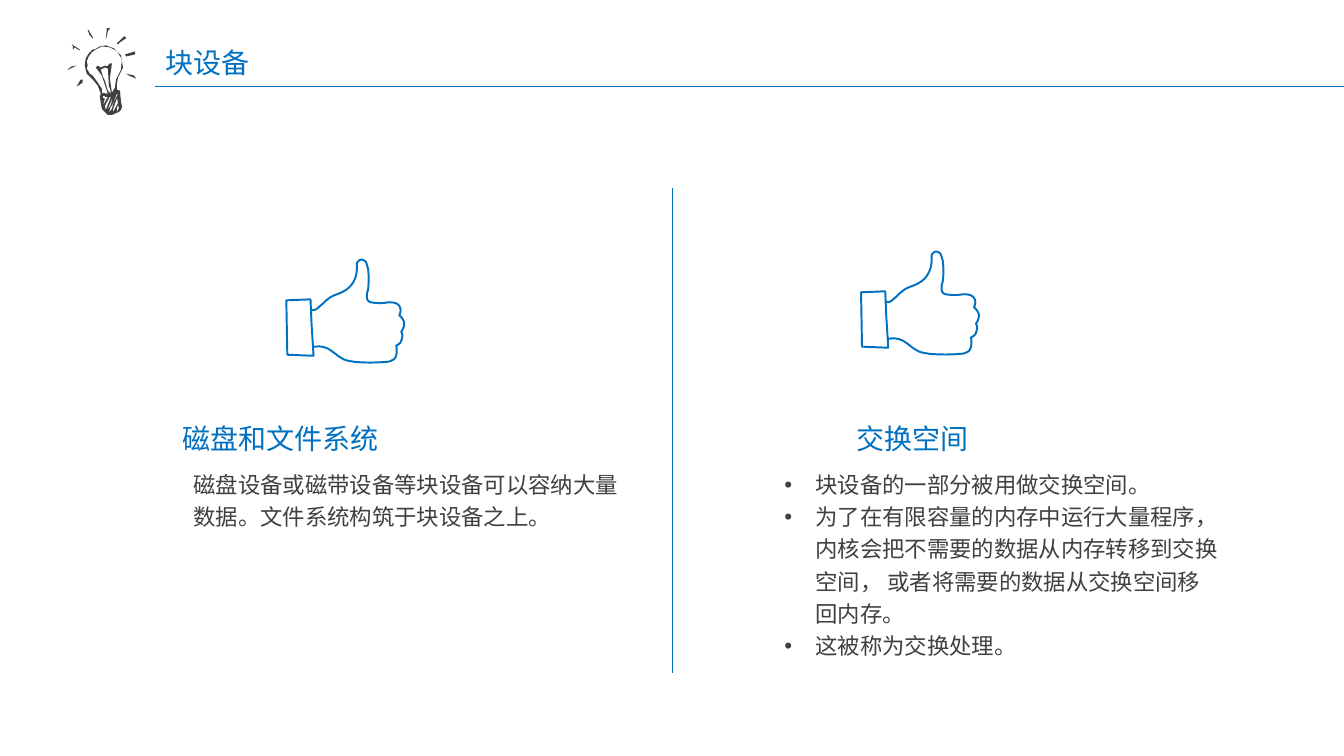
import dataclasses

import lxml.etree
import pptx
import pptx.dml.color
import pptx.enum.shapes
import pptx.enum.text
import pptx.oxml.ns
import pptx.util

Inches = pptx.util.Inches
Pt = pptx.util.Pt
qn = pptx.oxml.ns.qn


@dataclasses.dataclass(frozen=True)
class Theme:
    """Colours, type sizes and line widths of the slide."""
    font: str = "Noto Sans CJK SC"
    blue: pptx.dml.color.RGBColor = pptx.dml.color.RGBColor(0x00, 0x70, 0xC0)
    gray: pptx.dml.color.RGBColor = pptx.dml.color.RGBColor(0x40, 0x40, 0x40)
    heading_size: int = 20
    body_size: int = 16
    rule_width: float = 1
    hand_width: float = 1.38


THEME = Theme()
UNIT = Inches(0.01)

BULB_RAYS = (
    ((39, 0), (38, 11), (39, 8), (40, 3), (42, 0)),
    ((20, 2), (22, 7), (25, 10), (25, 9), (21, 2)),
    ((56, 8), (49, 15), (50, 16), (52, 14), (58, 10), (57, 8)),
    ((4, 16), (6, 19), (5, 19), (6, 21), (7, 19), (12, 22), (12, 21)),
    ((57, 26), (58, 28), (67, 26), (67, 23)),
    ((58, 45), (61, 47), (68, 50), (66, 47)),
    ((13, 51), (9, 58), (15, 54), (15, 51)),
    ((0, 41), (1, 41), (9, 37), (4, 38)),
)
BULB_BODY = (
    ((53, 27), (46, 20), (38, 17), (32, 18), (27, 21), (25, 21), (21, 25), (18, 30),
     (17, 37), (19, 45), (25, 51), (30, 57), (33, 65), (32, 68), (34, 80), (40, 86),
     (44, 86), (51, 83), (53, 81), (54, 78), (53, 73), (52, 62), (49, 61), (49, 55),
     (50, 49), (55, 39)),
    ((35, 77), (37, 70), (35, 69), (35, 67), (37, 67), (37, 68), (40, 68)),
    ((37, 77), (42, 68), (43, 68), (38, 81)),
    ((41, 58), (42, 59), (43, 65), (40, 62), (37, 52), (35, 48), (33, 41), (37, 39),
     (40, 40)),
    ((39, 82), (42, 75), (45, 68), (43, 76)),
    ((49, 83), (49, 79), (50, 76), (51, 79)),
    ((47, 80), (45, 83), (45, 81), (49, 69), (50, 74)),
    ((50, 66), (49, 67), (46, 73), (44, 80), (41, 84), (43, 77), (44, 77), (48, 67),
     (49, 65)),
    ((48, 51), (47, 59), (44, 64), (42, 50), (44, 35), (42, 35), (39, 38), (37, 37),
     (33, 39), (30, 37), (28, 39), (34, 47), (40, 65), (34, 64), (34, 60), (30, 54),
     (25, 47), (22, 45), (19, 40), (20, 37), (19, 33), (21, 28), (24, 24), (28, 21),
     (30, 20), (34, 18), (42, 19), (48, 22), (50, 24), (52, 28), (54, 30), (53, 41)),
)
HAND_START = (24, 50)
HAND_CURVES = (
    (27, 52, 30, 50, 33, 47), (36, 45, 38, 42, 41, 40), (45, 36, 52, 35, 57, 32),
    (65, 28, 70, 19, 70, 10), (70, 9, 70, 7, 70, 5), (70, 4, 71, 2, 73, 1),
    (75, 0, 77, 1, 79, 3), (80, 5, 80, 7, 81, 9), (82, 16, 82, 24, 81, 31),
    (80, 33, 80, 35, 80, 37), (80, 39, 80, 42, 84, 43), (90, 44, 96, 44, 101, 43),
    (104, 43, 106, 43, 109, 44), (111, 45, 113, 47, 113, 49),
    (114, 51, 113, 54, 112, 56), (114, 57, 116, 60, 117, 63),
    (117, 66, 116, 70, 114, 72), (116, 75, 115, 79, 114, 81),
    (114, 83, 111, 85, 109, 86), (110, 90, 110, 98, 106, 100),
    (104, 101, 102, 102, 100, 102), (89, 103, 78, 103, 67, 102),
    (63, 101, 59, 101, 56, 99), (50, 96, 45, 90, 39, 88), (33, 86, 32, 87, 27, 87),
)
CUFF = ((25, 64), (27, 96), (1, 95), (0, 41), (24, 40))


def flatten(start, curves, steps=8):
    """Return points along a chain of cubic curves."""
    points = [start]
    for x1, y1, x2, y2, x3, y3 in curves:
        x0, y0 = points[-1]
        for step in range(1, steps + 1):
            t = step / steps
            s = 1 - t
            weights = (s ** 3, 3 * s * s * t, 3 * s * t * t, t ** 3)
            points.append((sum(w * x for w, x in zip(weights, (x0, x1, x2, x3))),
                           sum(w * y for w, y in zip(weights, (y0, y1, y2, y3)))))
    return points


def add_outline(shapes, left, top, contours, fill=None, line=None, close=True):
    """Draw contours, given in hundredths of an inch, from a left top corner."""
    contours = [[(round(x * UNIT), round(y * UNIT)) for x, y in contour]
                for contour in contours]
    builder = shapes.build_freeform(*contours[0][0])
    for index, contour in enumerate(contours):
        if index:
            builder.move_to(*contour[0])
        builder.add_line_segments(contour[1:], close=close)
    shape = builder.convert_to_shape(Inches(left), Inches(top))
    shape.shadow.inherit = False
    if fill is None:
        shape.fill.background()
        shape.line.color.rgb = line
        shape.line.width = Pt(THEME.hand_width)
    else:
        shape.fill.solid()
        shape.fill.fore_color.rgb = fill
        shape.line.fill.background()


def add_bulb(slide, left, top):
    """Draw the light bulb and its rays."""
    shapes = slide.shapes.add_group_shape().shapes
    for contours in [(ray,) for ray in BULB_RAYS] + [BULB_BODY]:
        add_outline(shapes, left, top, contours, fill=THEME.gray)


def add_thumb(slide, left, top):
    """Draw the raised thumb and its cuff."""
    shapes = slide.shapes.add_group_shape().shapes
    hand = flatten(HAND_START, HAND_CURVES)
    add_outline(shapes, left, top, [hand], line=THEME.blue, close=False)
    add_outline(shapes, left, top, [CUFF], line=THEME.blue)


def add_rule(slide, x1, y1, x2, y2):
    """Draw a thin blue line."""
    rule = slide.shapes.add_connector(pptx.enum.shapes.MSO_CONNECTOR.STRAIGHT,
                                      Inches(x1), Inches(y1), Inches(x2), Inches(y2))
    rule.line.color.rgb = THEME.blue
    rule.line.width = Pt(THEME.rule_width)
    properties = rule.element.find(qn("p:spPr"))
    lxml.etree.SubElement(properties, qn("a:effectLst"))


def fill_text(shape, box, lines, size, color, align="LEFT", wrap=True, spacing=1.0,
              bullets=False):
    """Place a text placeholder and write its paragraphs."""
    shape.left, shape.top, shape.width, shape.height = map(Inches, box)
    frame = shape.text_frame
    frame.word_wrap = wrap
    frame.auto_size = pptx.enum.text.MSO_AUTO_SIZE.SHAPE_TO_FIT_TEXT
    frame.vertical_anchor = pptx.enum.text.MSO_ANCHOR.TOP
    for index, line in enumerate(lines):
        paragraph = frame.add_paragraph() if index else frame.paragraphs[0]
        paragraph.alignment = getattr(pptx.enum.text.PP_ALIGN, align)
        paragraph.line_spacing = spacing
        paragraph.space_before = paragraph.space_after = Pt(0)
        properties = paragraph._p.get_or_add_pPr()
        indent = Inches(0.31) if bullets else 0
        properties.set("marL", str(indent))
        properties.set("indent", str(-indent))
        if bullets:
            lxml.etree.SubElement(properties, qn("a:buFont"), typeface="Arial")
            lxml.etree.SubElement(properties, qn("a:buChar"), char="•")
        else:
            lxml.etree.SubElement(properties, qn("a:buNone"))
        run = paragraph.add_run()
        run.text = line
        run.font.size = Pt(size)
        run.font.bold = False
        run.font.color.rgb = color
        run.font.name = THEME.font
        lxml.etree.SubElement(run._r.get_or_add_rPr(), qn("a:ea"), typeface=THEME.font)


def add_header(slide, left, top, title):
    """Build the bulb, the title and the line below it."""
    add_bulb(slide, left, top)
    fill_text(slide.shapes.title, (left + 0.87, top + 0.12, 3.27, 0.44), [title],
              THEME.heading_size, THEME.blue)
    add_rule(slide, left + 0.87, top + 0.58, 13.33, top + 0.58)


def add_topic(slide, box, first_index, heading, heading_box, lines, thumb, bullets=False):
    """Build one column: thumb, heading and body text."""
    left, top, width, height = box
    add_thumb(slide, left + thumb[0], top + thumb[1])
    offset, heading_width = heading_box
    fill_text(slide.placeholders[first_index], (left + offset, top, heading_width, 0.44),
              [heading], THEME.heading_size, THEME.blue, align="RIGHT", wrap=False)
    fill_text(slide.placeholders[first_index + 1], (left, top + 0.44, width, height - 0.44),
              lines, THEME.body_size, THEME.gray, spacing=1.2, bullets=bullets)


def main():
    """Build the slide and save it."""
    presentation = pptx.Presentation()
    presentation.slide_width, presentation.slide_height = Inches(13.33), Inches(7.5)
    slide = presentation.slides.add_slide(presentation.slide_layouts[4])
    add_header(slide, 0.67, 0.28, "块设备")
    add_rule(slide, 6.67, 1.87, 6.67, 6.68)
    add_topic(slide, (1.82, 4.13, 4.51, 1.14), 1, "磁盘和文件系统", (-0.13, 2.17),
              ["磁盘设备或磁带设备等块设备可以容纳大量数据。文件系统构筑于块设备之上。"],
              (1.02, -1.56))
    add_topic(slide, (7.68, 4.13, 4.51, 2.48), 3, "交换空间", (0.71, 1.32),
              ["块设备的一部分被用做交换空间。",
               "为了在有限容量的内存中运行大量程序，内核会把不需要的数据从内存转移到交换空间， "
               "或者将需要的数据从交换空间移回内存。",
               "这被称为交换处理。"],
              (0.86, -1.64), bullets=True)
    presentation.save("out.pptx")


if __name__ == "__main__":
    main()
